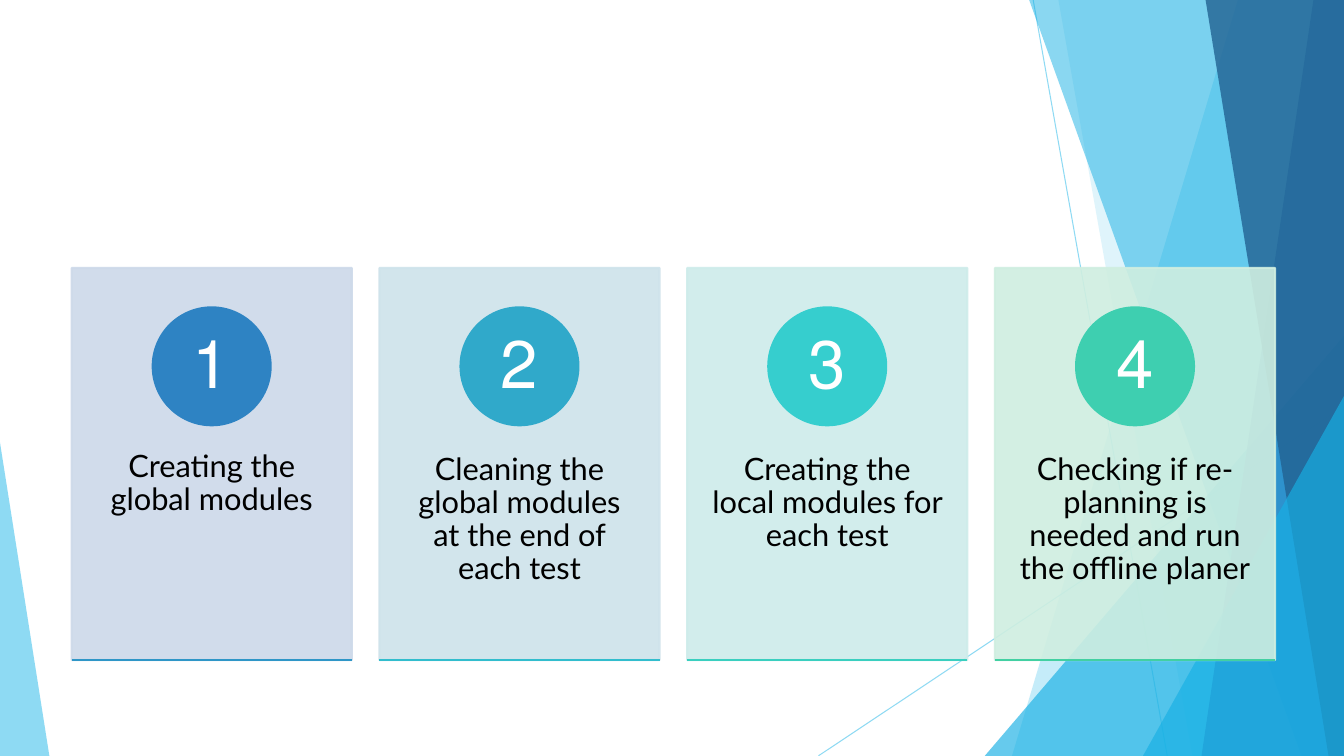
from lxml.etree import SubElement
from pptx import Presentation
from pptx.dml.color import RGBColor
from pptx.enum.shapes import MSO_CONNECTOR, MSO_SHAPE
from pptx.enum.text import MSO_ANCHOR, PP_ALIGN
from pptx.oxml.ns import qn
from pptx.util import Inches, Pt

COLUMNS, ROWS = 40, 22.5
COLORS = {
    "sky": "5FCBEF", "cyan": "17B0E4", "blue": "2E83C3", "navy": "226292",
    "black": "000000", "white": "FFFFFF",
}
FRAME = {"word_wrap": True}
CAPTION_FRAME = FRAME | {
    "vertical_anchor": MSO_ANCHOR.TOP,
    "margin_left": Inches(0.22), "margin_right": Inches(0.22),
    "margin_top": Inches(0.36), "margin_bottom": Inches(0.36),
}
NUMBER_FRAME = FRAME | {
    "vertical_anchor": MSO_ANCHOR.MIDDLE,
    "margin_left": 0, "margin_right": 0,
    "margin_top": Inches(0.01), "margin_bottom": Inches(0.01),
}
PARAGRAPH = {"alignment": PP_ALIGN.CENTER, "line_spacing": 0.9}
CAPTION_FONT = {"name": "Lato", "size": Pt(22)}
NUMBER_FONT = {"name": "Lato", "size": Pt(48)}

# Facets reaching the right edge: column at the top, column at the bottom
FACETS_BEHIND = [(36.84, 30.12, "sky", 36), (31.5, 35.49, "sky", 20)]
FACETS_FRONT = [
    (30.63, 38.73, "cyan", 50), (39.09, 35.76, "blue", 70), (35.88, 39.54, "navy", 80),
]
# Step caption, then card, circle and base line colours
STEPS = [
    ("Creating the global modules", "CDD9E9", "2E83C3", "2F96C7"),
    ("Cleaning the global modules at the end of each test", "CEE3EB", "30A9CA", "32BDCD"),
    ("Creating the local modules for each test", "CEECEA", "36CECE", "3ACFBF"),
    ("Checking if re-planning is needed and run the offline planer",
     "CFEEE0", "3ECFB0", "42D0A2"),
]
CARD_LEFT, CARD_TOP, CARD_WIDTH, CARD_HEIGHT, CARD_PITCH = 2.13, 7.98, 8.34, 11.67, 9.16
CIRCLE_TOP, CIRCLE_SIZE = 9.15, 3.51
CAPTION_TOP, CAPTION_HEIGHT = 12.42, 6.99


def apply(target, values):
    for attribute, value in values.items():
        setattr(target, attribute, value)


class Canvas:
    def __init__(self, deck):
        self.unit = deck.slide_width / COLUMNS
        self.shapes = deck.slides.add_slide(deck.slide_layouts[6]).shapes

    def cells(self, *lengths):
        return [round(length * self.unit) for length in lengths]

    def paint(self, fill, color, opacity):
        fill.solid()
        fill.fore_color.rgb = RGBColor.from_string(COLORS.get(color, color))
        if opacity < 100:
            choice = fill._xPr.find(qn("a:solidFill")).find(qn("a:srgbClr"))
            SubElement(choice, qn("a:alpha"), val=str(opacity * 1000))

    def finish(self, shape, color, opacity, outlined):
        shape.shadow.inherit = False
        self.paint(shape.fill, color, opacity)
        if outlined:
            shape.line.width = Pt(1.5)
            self.paint(shape.line.fill, color, opacity)
        else:
            shape.line.fill.background()

    def preset(self, kind, box, color, opacity=100, outlined=True):
        shape = self.shapes.add_shape(kind, *self.cells(*box))
        self.finish(shape, color, opacity, outlined)
        return shape

    def triangle(self, box, apex, color, opacity):
        shape = self.preset(MSO_SHAPE.ISOSCELES_TRIANGLE, box, color, opacity, False)
        shape.adjustments[0] = apex

    def facet(self, top, bottom, color, opacity):
        """Draw a four-sided band between a slanted left side and the right edge."""
        corners = [(COLUMNS, 0), (COLUMNS, ROWS), (bottom, ROWS)]
        builder = self.shapes.build_freeform(*self.cells(top, 0))
        builder.add_line_segments([self.cells(*corner) for corner in corners])
        self.finish(builder.convert_to_shape(), color, opacity, False)

    def line(self, start, end, color, width, opacity=100):
        connector = self.shapes.add_connector(
            MSO_CONNECTOR.STRAIGHT, *self.cells(*start, *end))
        connector.line.width = Pt(width)
        self.paint(connector.line.fill, color, opacity)
        SubElement(connector._element.spPr, qn("a:effectLst"))

    def set_text(self, shape, text, frame_format, font_format, color):
        frame = shape.text_frame
        apply(frame, frame_format)
        paragraph = frame.paragraphs[0]
        apply(paragraph, PARAGRAPH)
        paragraph._p.get_or_add_pPr().set("rtl", "1")
        run = paragraph.add_run()
        run.text = text
        apply(run.font, font_format)
        run.font.color.rgb = RGBColor.from_string(COLORS[color])

    def caption(self, box, text):
        label = self.shapes.add_textbox(*self.cells(*box))
        self.set_text(label, text, CAPTION_FRAME, CAPTION_FONT, "black")

    def step(self, index, text, card, circle, base):
        left = CARD_LEFT + index * CARD_PITCH
        bottom = CARD_TOP + CARD_HEIGHT
        self.preset(MSO_SHAPE.RECTANGLE, (left, CARD_TOP, CARD_WIDTH, CARD_HEIGHT), card, 90)
        self.caption((left, CAPTION_TOP, CARD_WIDTH, CAPTION_HEIGHT), text)
        circle_left = left + (CARD_WIDTH - CIRCLE_SIZE) / 2
        badge = self.preset(
            MSO_SHAPE.OVAL, (circle_left, CIRCLE_TOP, CIRCLE_SIZE, CIRCLE_SIZE), circle)
        self.set_text(badge, str(index + 1), NUMBER_FRAME, NUMBER_FONT, "white")
        self.line((left, bottom), (left + CARD_WIDTH, bottom), base, 1.5)


def main():
    deck = Presentation()
    apply(deck, {"slide_width": Inches(13.33), "slide_height": Inches(7.5)})
    canvas = Canvas(deck)
    canvas.line((30.75, 0), (34.74, ROWS), "sky", 0.75, 70)
    canvas.line((COLUMNS, 12.09), (24.36, ROWS), "sky", 0.75, 70)
    for facet in FACETS_BEHIND:
        canvas.facet(*facet)
    canvas.triangle((29.31, 9.99, 10.69, 12.51), 1, "cyan", 66)
    for facet in FACETS_FRONT:
        canvas.facet(*facet)
    canvas.triangle((34.02, 11.79, 5.98, 10.71), 1, "cyan", 66)
    canvas.triangle((0, 13.17, 1.47, 9.33), 0, "sky", 70)
    for index, step in enumerate(STEPS):
        canvas.step(index, *step)
    deck.save("out.pptx")


if __name__ == "__main__":
    main()
